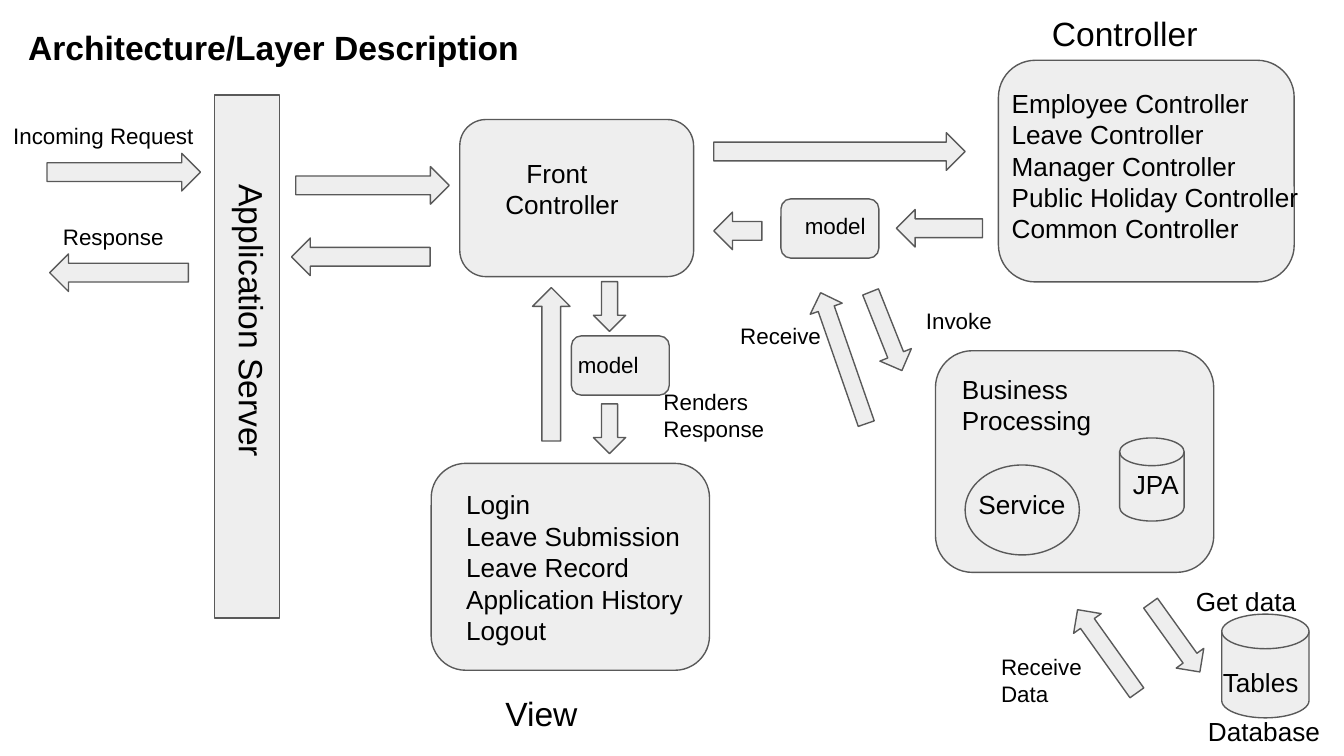
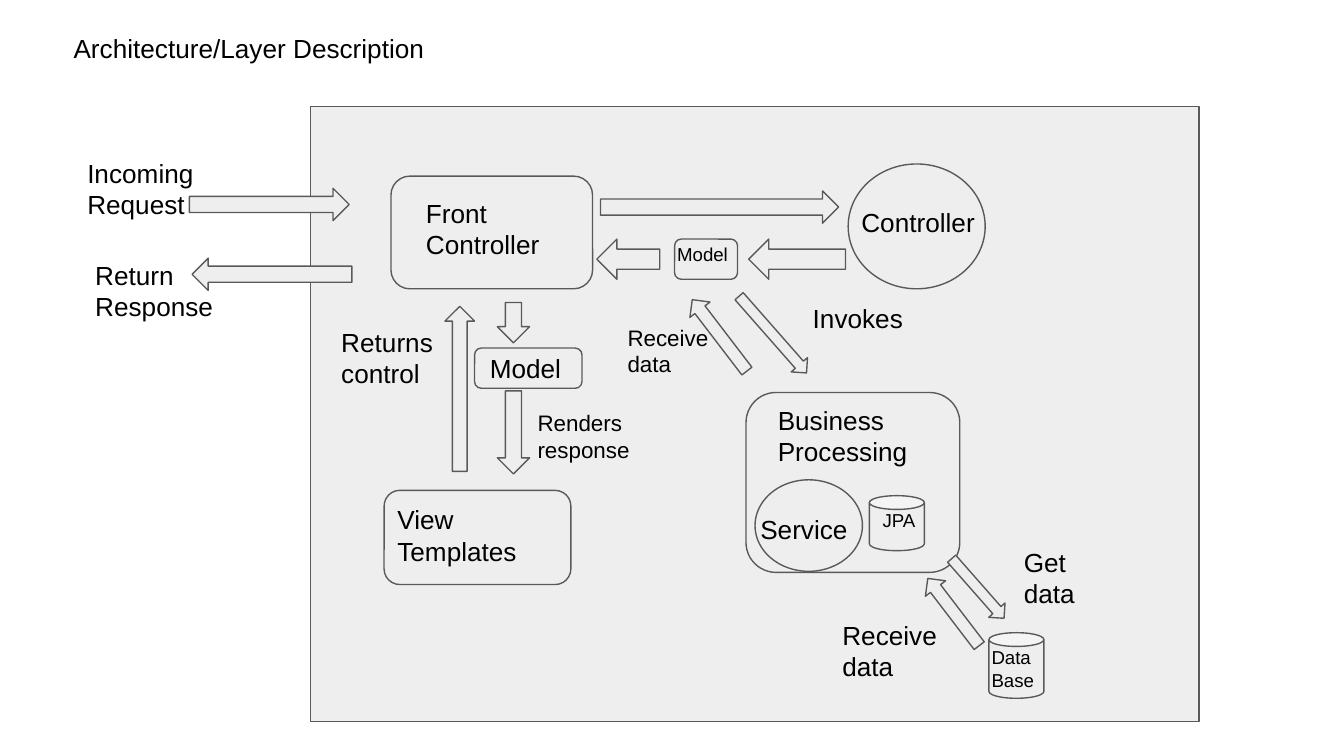
from pptx import Presentation
from pptx.dml.color import RGBColor
from pptx.enum.shapes import MSO_SHAPE as SHAPE
from pptx.enum.text import MSO_ANCHOR as ANCHOR, MSO_AUTO_SIZE as AUTO_SIZE, PP_ALIGN as ALIGN
from pptx.util import Cm, Pt

# Shared look
FONT = "Arial"
TEXT_COLOR = "000000"
FILL_COLOR = "EEEEEE"
LINE_COLOR = "595959"
TITLE = "Architecture/Layer Description"
INSET = Cm(0.25)
FRAME_FORMAT = {
    "word_wrap": True,
    "auto_size": AUTO_SIZE.NONE,
    "margin_left": INSET,
    "margin_top": INSET,
    "margin_right": INSET,
    "margin_bottom": INSET,
}

# Short names for the preset shapes
BOX, PANEL = SHAPE.ROUNDED_RECTANGLE, SHAPE.RECTANGLE
RIGHT, LEFT = SHAPE.RIGHT_ARROW, SHAPE.LEFT_ARROW
UP, DOWN = SHAPE.UP_ARROW, SHAPE.DOWN_ARROW
DISK, CAN = SHAPE.FLOWCHART_MAGNETIC_DISK, SHAPE.CAN
CIRCLE, ELLIPSE = SHAPE.FLOWCHART_CONNECTOR, SHAPE.OVAL

# Shapes: kind, (left, top, width, height) in cm, rotation if any
LAYER_SHAPES = [
    # Boxes and stores
    (BOX, (8.69, 2.26, 4.42, 2.97)),
    (PANEL, (4.06, 1.8, 1.22, 9.88)),
    (BOX, (18.87, 1.14, 5.59, 4.19)),
    (BOX, (8.15, 8.76, 5.26, 3.91)),
    (BOX, (17.68, 6.63, 5.26, 4.19)),
    (BOX, (14.76, 3.76, 1.85, 1.12)),
    (BOX, (10.8, 6.35, 1.85, 1.12)),
    (CIRCLE, (18.24, 8.79, 2.16, 1.7)),
    (DISK, (21.16, 8.28, 1.22, 1.57)),
    (DISK, (23.09, 11.61, 1.65, 1.96)),
    # Request and response
    (RIGHT, (0.89, 2.9, 2.9, 0.71)),
    (LEFT, (0.94, 4.8, 2.62, 0.71)),
    (RIGHT, (5.59, 3.15, 2.9, 0.71)),
    (LEFT, (5.51, 4.5, 2.62, 0.71)),
    # Front controller and controller
    (RIGHT, (13.49, 2.51, 4.75, 0.71)),
    (LEFT, (16.94, 3.96, 1.63, 0.71)),
    (LEFT, (13.49, 4.01, 0.91, 0.71)),
    # Front controller and view
    (RIGHT, (8.97, 6.53, 2.9, 0.71), 270),
    (RIGHT, (11.05, 5.49, 0.94, 0.61), 90),
    (RIGHT, (11.05, 7.8, 0.94, 0.61), 90),
    # Business processing and database
    (LEFT, (15.95, 5.94, 1.6, 0.64), 248.3),
    (RIGHT, (14.63, 6.45, 2.62, 0.64), 250.8),
    (LEFT, (21.41, 11.73, 1.6, 0.64), 234.4),
    (RIGHT, (19.96, 11.99, 1.93, 0.64), 234.5),
]

# Labels: lines, (left, top, width, height) in cm, text size, further options
LAYER_LABELS = [
    (["Incoming Request"], (0, 2.06, 4.95, 0.84), 12),
    (["Response"], (0.94, 3.96, 4.95, 0.84), 12),
    (["Application Server"], (0.66, 6.35, 7.85, 1.63), 18, {"rotation": 90}),
    (["Front Controller"], (9.3, 2.72, 3.23, 1.57), 14, {"indent": 0.4}),
    (["Controller"], (19.63, 0, 4.42, 0.71), 18),
    (["Employee Controller", "Leave Controller", "Manager Controller",
      "Public Holiday Controller", "Common Controller"], (18.87, 1.4, 6.58, 4.7), 14),
    (["model"], (14.96, 3.76, 2.08, 0.71), 12),
    (["model"], (10.67, 6.38, 2.08, 0.71), 12),
    (["View"], (9.3, 12.85, 4.42, 0.71), 18),
    (["Renders Response"], (12.29, 7.09, 3.8, 0.71), 12),
    (["Login", "Leave Submission", "Leave Record", "Application History", "Logout"],
     (8.56, 8.99, 4.75, 3.91), 14),
    (["Business Processing"], (17.93, 6.81, 4.42, 1.12), 14),
    (["Service"], (18.24, 8.99, 2.62, 0.84), 14),
    (["JPA"], (21.16, 8.64, 2.08, 0.43), 14),
    (["Tables"], (22.86, 12.34, 2.62, 0.71), 14),
    (["Database"], (22.58, 13.28, 3.23, 1.12), 14),
    (["Invoke"], (17.25, 5.56, 2.62, 0.84), 12),
    (["Receive"], (13.74, 5.84, 2.62, 0.84), 12),
    (["Receive Data"], (18.67, 12.09, 2.62, 0.84), 12),
    (["Get data"], (22.35, 10.82, 3.12, 1.47), 14),
]

FLOW_SHAPES = [
    # Server panel, boxes and stores
    (PANEL, (5.87, 2.01, 16.79, 11.63)),
    (BOX, (7.39, 3.33, 3.81, 2.13)),
    (BOX, (7.26, 9.27, 3.53, 1.78)),
    (BOX, (14.1, 7.42, 4.04, 3.4)),
    (BOX, (12.75, 4.52, 1.19, 0.76)),
    (ELLIPSE, (16.03, 3.1, 2.59, 2.36)),
    (ELLIPSE, (14.27, 9.07, 2.03, 1.73)),
    (CAN, (16.43, 9.37, 1.04, 1.04)),
    (CAN, (18.69, 11.96, 1.04, 1.24)),
    # Request and response
    (RIGHT, (3.58, 3.56, 3.02, 0.61)),
    (LEFT, (3.63, 4.88, 3.02, 0.61)),
    # Front controller and view
    (UP, (8.41, 5.79, 0.56, 3.12)),
    (DOWN, (9.4, 5.72, 0.61, 0.76)),
    (DOWN, (9.4, 7.39, 0.61, 1.57)),
    # Front controller and controller
    (RIGHT, (11.35, 3.61, 4.5, 0.61)),
    (LEFT, (11.28, 4.52, 1.19, 0.76)),
    (LEFT, (14.15, 4.52, 1.83, 0.76)),
    # Business processing and database
    (RIGHT, (13.64, 6.12, 1.93, 0.41), 48.7),
    (LEFT, (12.75, 6.1, 1.7, 0.48), 52.6),
    (RIGHT, (17.73, 10.92, 1.5, 0.41), 48.7),
    (LEFT, (17.22, 11.33, 1.6, 0.48), 52.6),
]

FLOW_LABELS = [
    (["Incoming Request"], (1.4, 2.72, 4.06, 1.24), 14),
    (["Return Response"], (1.55, 4.65, 3.81, 1.73), 14),
    (["Front Controller"], (7.8, 3.48, 2.74, 1.57), 14),
    (["View", "Templates"], (7.26, 9.27, 3.33, 1.47), 14),
    (["Business", "Processing"], (14.45, 7.39, 3.02, 1.04), 14),
    (["Returns control"], (6.2, 5.92, 2.39, 1.04), 14),
    (["Model"], (12.55, 4.34, 1.63, 1.24), 10),
    (["Renders", "response"], (9.91, 7.49, 2.59, 0.76), 12),
    (["Controller"], (16.03, 3.66, 2.74, 1.24), 14),
    (["JPA"], (16.43, 9.37, 1.63, 1.24), 10),
    (["Service"], (14.12, 9.45, 2.39, 0.97), 14),
    (["Data", "Base"], (18.49, 11.96, 1.63, 1.24), 10),
    (["Invokes"], (15.11, 5.46, 2.39, 0.97), 14),
    (["Receive", "data"], (11.61, 5.87, 2.39, 0.97), 12),
    (["Receive", "data"], (15.67, 11.46, 2.39, 0.97), 14),
    (["Get data"], (19.1, 10.08, 1.93, 1.47), 14),
]


def color(hex_value):
    return RGBColor.from_string(hex_value)


def set_attributes(target, values):
    for name, value in values.items():
        setattr(target, name, value)


def place(shape, bounds):
    names = ("left", "top", "width", "height")
    set_attributes(shape, dict(zip(names, map(Cm, bounds))))


def write_text(shape, lines, size, bold=False, anchor=ANCHOR.TOP, indent=0):
    """Fill a shape with one left-aligned paragraph per line."""
    frame = shape.text_frame
    set_attributes(frame, FRAME_FORMAT)
    frame.vertical_anchor = anchor
    frame.text = "\n".join(lines)
    for paragraph in frame.paragraphs:
        paragraph.alignment = ALIGN.LEFT
        if indent:
            paragraph._p.get_or_add_pPr().set("indent", str(Cm(indent)))
        font = paragraph.runs[0].font
        set_attributes(font, {"name": FONT, "size": Pt(size), "bold": bold})
        font.color.rgb = color(TEXT_COLOR)


def add_title(slide, bounds, size, bold=False):
    title = slide.shapes.title
    place(title, bounds)
    write_text(title, [TITLE], size, bold)


def add_block(slide, kind, bounds, rotation=0):
    """Add a grey outlined box, store or arrow."""
    shape = slide.shapes.add_shape(kind, *map(Cm, bounds))
    shape.rotation = rotation
    shape.shadow.inherit = False
    shape.fill.solid()
    shape.fill.fore_color.rgb = color(FILL_COLOR)
    shape.line.color.rgb = color(LINE_COLOR)
    shape.line.width = Pt(0.75)
    return shape


def add_label(slide, lines, bounds, size, options=None):
    options = dict(options or {})
    label = slide.shapes.add_textbox(*map(Cm, bounds))
    label.rotation = options.pop("rotation", 0)
    write_text(label, lines, size, **options)


def add_diagram(slide, shapes, labels):
    for shape in shapes:
        add_block(slide, *shape)
    for label in labels:
        add_label(slide, *label)


def main():
    presentation = Presentation()
    presentation.slide_width = Cm(25.4)
    presentation.slide_height = Cm(14.29)
    title_only = presentation.slide_layouts[5]

    # Layers with their controllers, views and services
    slide = presentation.slides.add_slide(title_only)
    add_title(slide, (0.28, 0.25, 13.41, 0.84), 18, bold=True)
    add_diagram(slide, LAYER_SHAPES, LAYER_LABELS)

    # Flow of a request inside the server
    slide = presentation.slides.add_slide(title_only)
    add_title(slide, (1.14, 0.36, 8.33, 0.97), 14)
    add_diagram(slide, FLOW_SHAPES, FLOW_LABELS)
    view_model = add_block(slide, BOX, (8.97, 6.58, 2.03, 0.76))
    write_text(view_model, ["Model"], 14, anchor=ANCHOR.MIDDLE)

    presentation.save("out.pptx")


if __name__ == "__main__":
    main()
